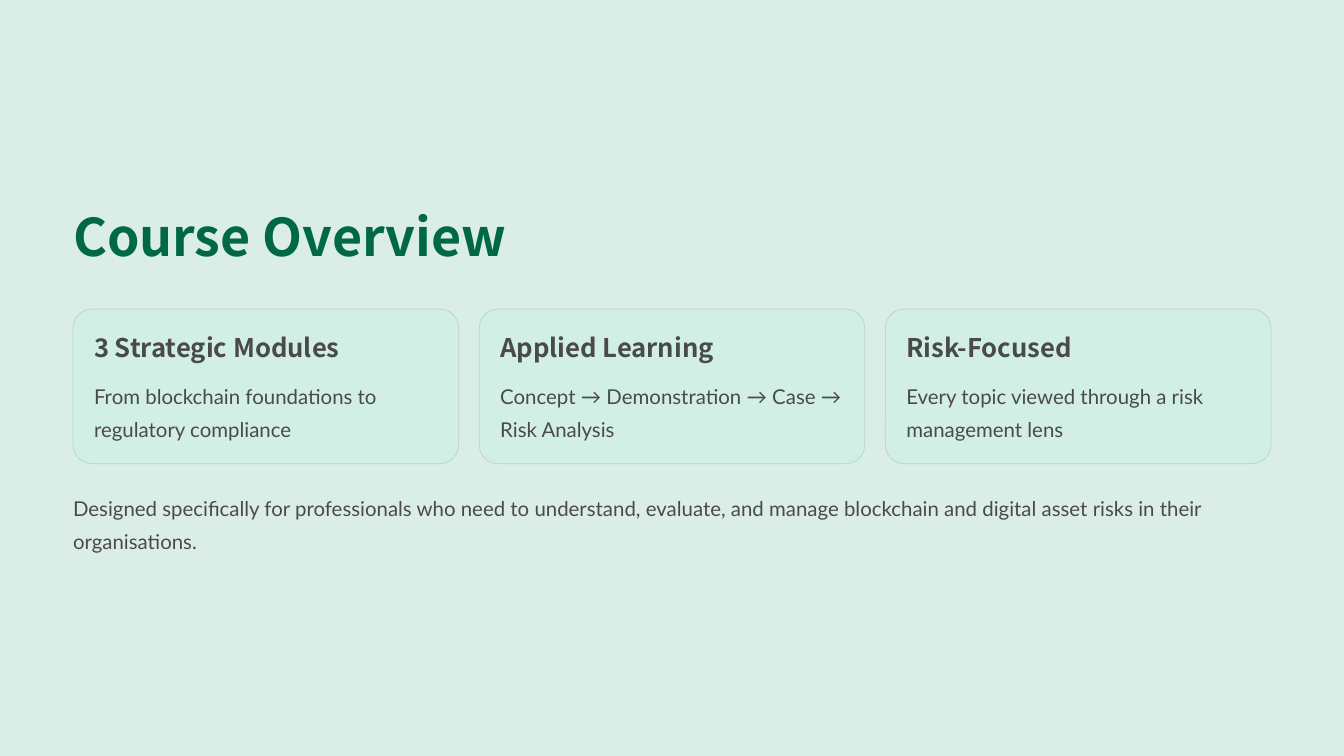
import pptx
import pptx.dml.color
import pptx.enum.shapes
import pptx.enum.text
import pptx.util

RGBColor = pptx.dml.color.RGBColor
Inches = pptx.util.Inches
Pt = pptx.util.Pt

BACKGROUND = RGBColor(0xDA, 0xED, 0xE6)
GREEN = RGBColor(0x00, 0x67, 0x47)
GREY = RGBColor(0x4B, 0x4A, 0x4A)
CARD_FILL = RGBColor(0xD1, 0xEF, 0xE4)
CARD_LINE = RGBColor(0xB7, 0xD5, 0xCA)

MARGIN, CONTENT_W = 0.87, 14.26
CARD_TOP, CARD_W, CARD_H = 3.68, 4.59, 1.84
PADDING = 0.25

CARDS = [
    ("3 Strategic Modules", "From blockchain foundations to regulatory compliance"),
    ("Applied Learning", "Concept → Demonstration → Case → Risk Analysis"),
    ("Risk-Focused", "Every topic viewed through a risk management lens"),
]


class Deck:
    heading_font = "Noto Sans CJK SC"
    body_font = "Lato"

    def __init__(self):
        self.prs = pptx.Presentation()
        self.prs.slide_width, self.prs.slide_height = Inches(16), Inches(9)
        self.s = self.prs.slides.add_slide(self.prs.slide_layouts[6])
        fill = self.s.background.fill
        fill.solid()
        fill.fore_color.rgb = BACKGROUND

    def text(self, x, y, w, h, text, size, spacing, font, color=GREY, bold=False, wrap=False):
        tf = self.s.shapes.add_textbox(Inches(x), Inches(y), Inches(w), Inches(h)).text_frame
        tf.margin_left = tf.margin_right = tf.margin_top = tf.margin_bottom = 0
        tf.auto_size = pptx.enum.text.MSO_AUTO_SIZE.NONE
        tf.word_wrap = wrap
        p = tf.paragraphs[0]
        p.text = text
        p.line_spacing = Pt(spacing)
        p.font.name, p.font.size, p.font.bold = font, Pt(size), bold
        p.font.color.rgb = color

    def heading(self, x, y, w, h, text, size, spacing, color=GREY):
        self.text(x, y, w, h, text, size, spacing, self.heading_font, color, bold=True)

    def body(self, x, y, w, text):
        self.text(x, y, w, 0.79, text, 17.5, 28.5, self.body_font, wrap=True)

    def card(self, x, title, text):
        sp = self.s.shapes.add_shape(
            pptx.enum.shapes.MSO_SHAPE.ROUNDED_RECTANGLE,
            Inches(x), Inches(CARD_TOP), Inches(CARD_W), Inches(CARD_H))
        sp.adjustments[0] = 0.121
        sp.shadow.inherit = False
        sp.fill.solid()
        sp.fill.fore_color.rgb = CARD_FILL
        sp.line.color.rgb = CARD_LINE
        sp.line.width = Pt(0.6)
        self.heading(x + PADDING, CARD_TOP + PADDING, 3.1, 0.39, title, 22, 27.5)
        self.body(x + PADDING, CARD_TOP + 0.79, CARD_W - 2 * PADDING, text)


def main():
    deck = Deck()

    # Title
    deck.heading(MARGIN, 2.41, 6.2, 0.78, "Course Overview", 44.5, 55.5, GREEN)

    # Cards, spread evenly over the content width
    pitch = (CONTENT_W - CARD_W) / (len(CARDS) - 1)
    for i, (title, text) in enumerate(CARDS):
        deck.card(MARGIN + i * pitch, title, text)

    # Closing statement
    deck.body(MARGIN, 5.8, CONTENT_W,
              "Designed specifically for professionals who need to understand, evaluate, "
              "and manage blockchain and digital asset risks in their organisations.")

    deck.prs.save("out.pptx")


if __name__ == "__main__":
    main()
